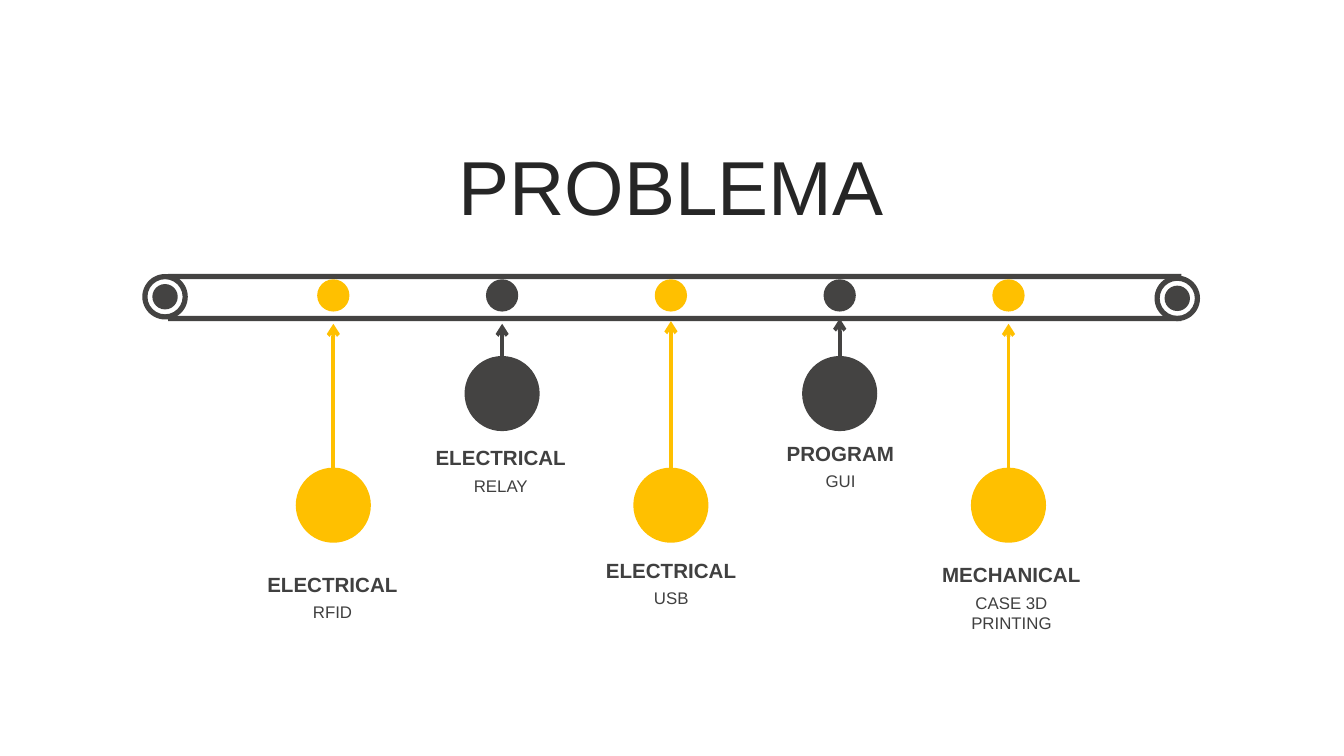
from lxml import etree
from pptx import Presentation
from pptx.dml.color import RGBColor
from pptx.enum.shapes import MSO_CONNECTOR, MSO_SHAPE
from pptx.enum.text import MSO_ANCHOR, MSO_AUTO_SIZE, PP_ALIGN
from pptx.oxml.ns import qn
from pptx.util import Cm, Pt

OVAL, DONUT, RECTANGLE = MSO_SHAPE.OVAL, MSO_SHAPE.DONUT, MSO_SHAPE.RECTANGLE
STRAIGHT = MSO_CONNECTOR.STRAIGHT
CENTER, MIDDLE, TOP = PP_ALIGN.CENTER, MSO_ANCHOR.MIDDLE, MSO_ANCHOR.TOP
NO_AUTOFIT = MSO_AUTO_SIZE.NONE

DARK = RGBColor(0x44, 0x43, 0x42)
YELLOW = RGBColor(0xFF, 0xC0, 0x00)
TITLE_COLOR = RGBColor(0x26, 0x26, 0x26)
LABEL_COLOR = RGBColor(0x40, 0x40, 0x40)

FIRST_CENTER, STEP = 6.3, 3.19
DOT_TOP, DOT_SIZE = 5.28, 0.61
CIRCLE_SIZE = 1.42
LABEL_WIDTH, DETAIL_OFFSET = 3.23, 0.58

# heading, detail, colour, circle top, arrow tip, label left, label top, detail height
STATIONS = [
    ("ELECTRICAL", "RFID", YELLOW, 8.84, 6.12, 4.67, 10.67, 0.63),
    ("ELECTRICAL", "RELAY", DARK, 6.73, 6.12, 7.85, 8.28, 0.63),
    ("ELECTRICAL", "USB", YELLOW, 8.84, 6.07, 11.07, 10.41, 0.63),
    ("PROGRAM", "GUI", DARK, 6.73, 6.02, 14.27, 8.2, 0.63),
    ("MECHANICAL", "CASE 3D PRINTING", YELLOW, 8.84, 6.12, 17.5, 10.49, 1.02),
]

deck = Presentation()
deck.slide_width, deck.slide_height = Cm(25.4), Cm(14.29)
page = deck.slides.add_slide(deck.slide_layouts[5])


def add_filled(kind, left, top, width, height, color):
    shape = page.shapes.add_shape(kind, Cm(left), Cm(top), Cm(width), Cm(height))
    shape.shadow.inherit = False
    shape.fill.solid()
    shape.fill.fore_color.rgb = color
    shape.line.fill.background()
    return shape


def write_centered(box, text, size, color, anchor, bold=False):
    frame = box.text_frame
    frame.word_wrap = True
    frame.auto_size = NO_AUTOFIT
    frame.vertical_anchor = anchor
    para = frame.paragraphs[0]
    para.alignment = CENTER
    span = para.add_run()
    span.text = text
    span.font.name = "Arial"
    span.font.size = Pt(size)
    span.font.bold = bold
    span.font.color.rgb = color


# Title
title = page.shapes.title
title.left, title.top, title.width, title.height = Cm(0.64), Cm(2.74), Cm(24.1), Cm(1.5)
write_centered(title, "PROBLEMA", 41, TITLE_COLOR, MIDDLE)

# Conveyor belt with a roller at each end
for belt_top in (5.18, 5.97):
    add_filled(RECTANGLE, 3.18, belt_top, 19.15, 0.1, DARK)
for roller_left, roller_top in ((2.69, 5.18), (21.82, 5.21)):
    ring = add_filled(DONUT, roller_left, roller_top, 0.86, 0.86, DARK)
    ring.adjustments[0] = 0.114
    add_filled(OVAL, roller_left + 0.19, roller_top + 0.19, 0.48, 0.48, DARK)

# Stations: dot on the belt, circle below, arrow between them, label
for index, station in enumerate(STATIONS):
    heading, detail, color, circle_top, tip, label_left, label_top, detail_height = station
    center = FIRST_CENTER + index * STEP
    add_filled(OVAL, center - DOT_SIZE / 2, DOT_TOP, DOT_SIZE, DOT_SIZE, color)
    add_filled(OVAL, center - CIRCLE_SIZE / 2, circle_top, CIRCLE_SIZE, CIRCLE_SIZE, color)

    arrow = page.shapes.add_connector(
        STRAIGHT, Cm(center), Cm(circle_top + 0.05), Cm(center), Cm(tip))
    arrow.line.color.rgb = color
    arrow.line.width = Pt(2)
    etree.SubElement(arrow.line._get_or_add_ln(), qn("a:tailEnd"), type="arrow")
    etree.SubElement(arrow._element.spPr, qn("a:effectLst"))

    heading_box = page.shapes.add_textbox(
        Cm(label_left), Cm(label_top), Cm(LABEL_WIDTH), Cm(0.74))
    write_centered(heading_box, heading, 11, LABEL_COLOR, MIDDLE, bold=True)
    detail_box = page.shapes.add_textbox(
        Cm(label_left), Cm(label_top + DETAIL_OFFSET), Cm(LABEL_WIDTH), Cm(detail_height))
    write_centered(detail_box, detail, 9, LABEL_COLOR, TOP)

deck.save("out.pptx")
